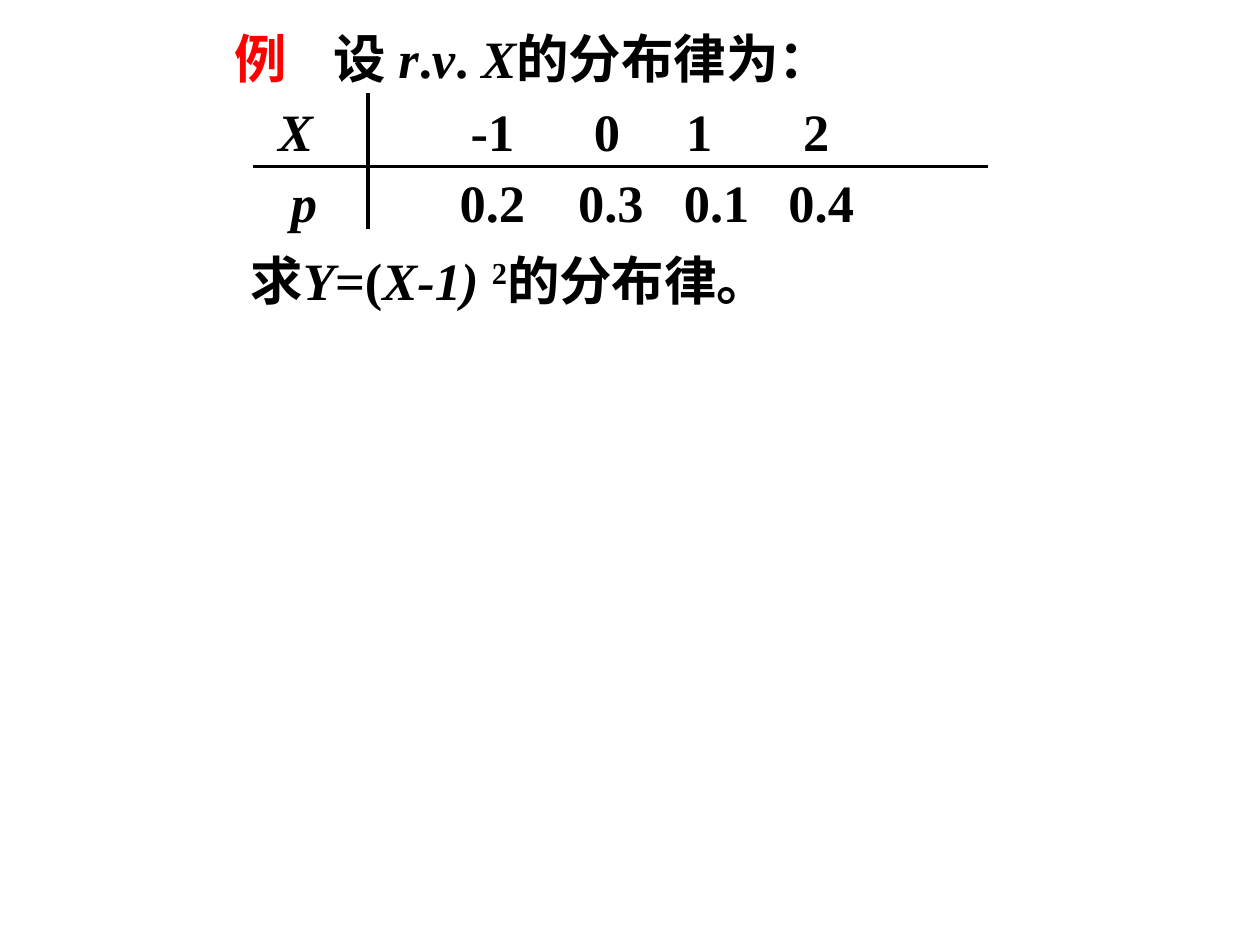
from pptx import Presentation
from pptx.dml.color import RGBColor
from pptx.enum import shapes, text
from pptx.oxml import xmlchemy as xml
from pptx.oxml.ns import qn
from pptx.util import Inches, Pt

BLACK, RED = "000000", "FF0000"
FONT = {"name": "Times New Roman", "size": Pt(30), "bold": True}
FRAME = {
    "word_wrap": True,
    "auto_size": text.MSO_AUTO_SIZE.SHAPE_TO_FIT_TEXT,
    "vertical_anchor": text.MSO_ANCHOR.MIDDLE,
    "margin_left": Inches(0.1),
    "margin_right": Inches(0.1),
    "margin_top": Inches(0.05),
    "margin_bottom": Inches(0.05),
}


def apply(target, values):
    for name, value in values.items():
        setattr(target, name, value)


def color(value):
    return RGBColor.from_string(value)


def set_tabs(para, stops, align):
    tabs = xml.OxmlElement("a:tabLst")
    for stop in stops:
        tab = xml.OxmlElement("a:tab")
        tab.set("pos", str(Inches(stop)))
        tab.set("algn", align)
        tabs.append(tab)
    para._p.get_or_add_pPr().append(tabs)


def write(box, area, spans, stops=(), align="l", spacing=1.0):
    left, top, width, height = map(Inches, area)
    frame = box.text_frame
    apply(frame, FRAME)
    apply(box, {"left": left, "top": top, "width": width, "height": height})
    para = frame.paragraphs[0]
    apply(para, {"alignment": text.PP_ALIGN.LEFT, "line_spacing": spacing})
    if stops:
        set_tabs(para, stops, align)
    for words, style in spans:
        span = para.add_run()
        span.text = words
        apply(span.font, FONT)
        span.font.italic = "i" in style
        span.font.color.rgb = color(RED if "red" in style else BLACK)
        if "super" in style:
            span._r.get_or_add_rPr().set("baseline", "30000")


def add_text(page, area, spans, **layout):
    box = page.shapes.add_textbox(*map(Inches, area))
    write(box, area, spans, **layout)


def add_row(page, left, top, label, values, centers):
    spans = [(label, ["i"]), ("\t" + "\t".join(values), [])]
    stops = [center - left - 0.1 for center in centers]
    add_text(page, (left, top, 5.41, 0.6), spans, stops=stops, align="ctr")


def add_rule(page, *ends):
    rule = page.shapes.add_connector(shapes.MSO_CONNECTOR.STRAIGHT, *map(Inches, ends))
    rule.line.color.rgb = color(BLACK)
    rule.line.width = Pt(2)
    rule._element.find(qn("p:spPr")).append(xml.OxmlElement("a:effectLst"))


def main():
    deck = Presentation()
    apply(deck, {"slide_width": Inches(10), "slide_height": Inches(7.5)})
    page = deck.slides.add_slide(deck.slide_layouts[5])

    problem = [
        ("例", ["red"]), ("\t设 ", []), ("r", ["i"]), (".", []),
        ("v", ["i"]), (". ", []), ("X", ["i"]), ("的分布律为：", []),
    ]
    write(page.shapes.title, (1.76, -0.09, 5.08, 1.1), problem, stops=[0.79])

    add_rule(page, 2.01, 1.32, 7.84, 1.32)
    add_rule(page, 2.92, 0.74, 2.92, 1.82)
    add_row(page, 2.11, 0.74, "X", ["-1", "0", "1", "2"], [3.91, 4.82, 5.55, 6.48])
    add_row(page, 2.21, 1.3, "p", ["0.2", "0.3", "0.1", "0.4"], [3.91, 4.85, 5.69, 6.52])

    question = [
        ("求", []), ("Y", ["i"]), ("=(", []), ("X-1) ", ["i"]),
        ("2", ["super"]), ("的分布律。", []),
    ]
    add_text(page, (1.89, 1.82, 5.73, 0.7), question, spacing=1.2)
    deck.save("out.pptx")


if __name__ == "__main__":
    main()
